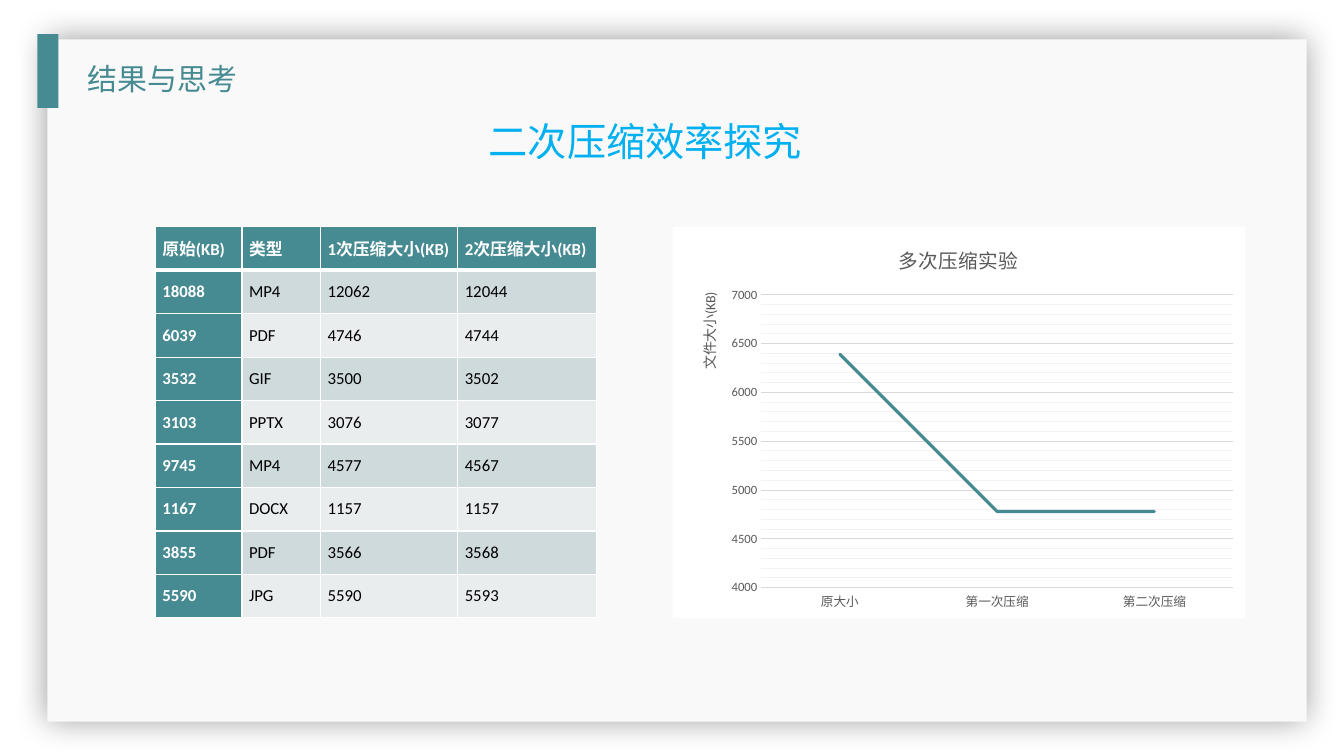
from lxml import etree
from pptx import Presentation
from pptx.chart.data import CategoryChartData
from pptx.dml.color import RGBColor
from pptx.enum.chart import XL_CHART_TYPE, XL_TICK_MARK
from pptx.enum.shapes import MSO_SHAPE
from pptx.enum.text import MSO_ANCHOR, PP_ALIGN
from pptx.oxml import parse_xml
from pptx.oxml.ns import nsdecls, qn
from pptx.util import Inches, Pt

HEX = {"teal": "468A92", "sky": "00B0F0", "panel": "F9F9F9", "white": "FFFFFF",
       "black": "000000", "gray": "595959", "grid": "D9D9D9", "faint": "F2F2F2",
       "dark": "CFDADC", "light": "E9EDEE"}
LATIN, HAN = "Calibri", "Noto Sans CJK SC"
ROWS = [
    ("原始(KB)", "类型", "1次压缩大小(KB)", "2次压缩大小(KB)"),
    ("18088", "MP4", "12062", "12044"),
    ("6039", "PDF", "4746", "4744"),
    ("3532", "GIF", "3500", "3502"),
    ("3103", "PPTX", "3076", "3077"),
    ("9745", "MP4", "4577", "4567"),
    ("1167", "DOCX", "1157", "1157"),
    ("3855", "PDF", "3566", "3568"),
    ("5590", "JPG", "5590", "5593"),
]


def color(name):
    return RGBColor.from_string(HEX[name])


def style(font, size, tint, bold=False, face=LATIN):
    font.size, font.bold, font.name = Pt(size), bold, face
    font.color.rgb = color(tint)


def write(frame, text, size, tint, bold=False, face=LATIN, align=None):
    par = frame.paragraphs[0]
    par.alignment = align
    run = par.add_run()
    run.text = text
    style(run.font, size, tint, bold, face)
    east = etree.SubElement(run.font._element, qn("a:ea"))
    east.set("typeface", HAN)


def label(slide, box, text, **form):
    frame = slide.shapes.add_textbox(*map(Inches, box)).text_frame
    frame.word_wrap = True
    write(frame, text, face=HAN, **form)


def block(slide, box, tint):
    shape = slide.shapes.add_shape(MSO_SHAPE.RECTANGLE, *map(Inches, box))
    shape.fill.solid()
    shape.fill.fore_color.rgb = color(tint)
    shape.line.fill.background()
    shape.shadow.inherit = False
    return shape


def frame(slide, box):
    # Panel with a soft glow-like shadow, and the corner tab
    left, top, _, _ = box
    panel = block(slide, box, "panel")
    effects = panel._element.spPr.find(qn("a:effectLst"))
    effects.append(parse_xml(
        f'<a:outerShdw {nsdecls("a")} blurRad="{Pt(23)}" dist="0" dir="0" '
        f'algn="ctr" rotWithShape="0"><a:srgbClr val="{HEX["black"]}">'
        '<a:alpha val="40000"/></a:srgbClr></a:outerShdw>'))
    block(slide, (left - 0.1, top - 0.05, 0.21, 0.73), "teal")

    # Headings
    label(slide, (left + 0.3, top + 0.16, 2.68, 0.46), "结果与思考",
          size=21.4, tint="teal", align=PP_ALIGN.JUSTIFY)
    label(slide, (left + 4.28, top + 0.72, 4.4, 0.88), "二次压缩效率探究",
          size=28, tint="sky")


def edge(cell, side, width):
    cell._tc.get_or_add_tcPr().append(parse_xml(
        f'<a:{side} {nsdecls("a")} w="{Pt(width)}"><a:solidFill>'
        f'<a:srgbClr val="{HEX["white"]}"/></a:solidFill></a:{side}>'))


def grid(slide, box):
    table = slide.shapes.add_table(len(ROWS), 4, *map(Inches, box)).table
    for col, width in zip(table.columns, (0.86, 0.78, 1.36, 1.38)):
        col.width = Inches(width)
    for r, row in enumerate(ROWS):
        table.rows[r].height = Inches(box[3] / len(ROWS))
        for c, text in enumerate(row):
            cell = table.cell(r, c)
            head = r == 0 or c == 0
            cell.margin_left = cell.margin_right = Inches(0.07)
            cell.margin_top = cell.margin_bottom = 0
            cell.vertical_anchor = MSO_ANCHOR.MIDDLE
            write(cell.text_frame, text, 12, "white" if head else "black",
                  bold=head, align=PP_ALIGN.JUSTIFY)
            for side in ("lnL", "lnR", "lnT", "lnB"):
                thick = (r, side) in ((0, "lnB"), (1, "lnT"))
                edge(cell, side, 3 if thick else 1)
            cell.fill.solid()
            cell.fill.fore_color.rgb = color(
                "teal" if head else "dark" if r % 2 else "light")


def place(node, after, inner=False, **spots):
    # Put a chart part at fractions of the chart's size
    for old in node.findall(qn("c:layout")):
        node.remove(old)
    target = '<c:layoutTarget val="inner"/>' if inner else ""
    modes = "".join(f'<c:{k}Mode val="edge"/>' for k in "xy")
    sizes = "".join(f'<c:{k} val="{v}"/>' for k, v in spots.items())
    node.insert(after, parse_xml(
        f'<c:layout {nsdecls("c")}><c:manualLayout>{target}{modes}{sizes}'
        '</c:manualLayout></c:layout>'))


def plot(slide, box):
    data = CategoryChartData()
    data.categories = ["原大小", "第一次压缩", "第二次压缩"]
    data.add_series("Series 1", (6390, 4780, 4780))
    chart = slide.shapes.add_chart(
        XL_CHART_TYPE.LINE, *map(Inches, box), data).chart
    style(chart.font, 10, "black")
    chart.has_legend = False
    chart.has_title = True
    write(chart.chart_title.text_frame, "多次压缩实验", 14, "gray")
    space = chart._chartSpace
    space.chart.addnext(parse_xml(
        f'<c:spPr {nsdecls("c", "a")}><a:solidFill><a:srgbClr '
        f'val="{HEX["white"]}"/></a:solidFill><a:ln><a:noFill/></a:ln></c:spPr>'))
    place(space.chart.plotArea, 0, True, x=0.155, y=0.174, w=0.824, h=0.749)

    # Axes
    cats, vals = chart.category_axis, chart.value_axis
    for axis in (cats, vals):
        style(axis.tick_labels.font, 9, "gray")
        axis.major_tick_mark = axis.minor_tick_mark = XL_TICK_MARK.NONE
    cats.format.line.color.rgb = color("grid")
    cats.format.line.width = Pt(0.75)
    vals.format.line.fill.background()
    vals.minimum_scale, vals.maximum_scale = 4000, 7000
    vals.major_unit, vals.minor_unit = 500, 100
    vals.has_major_gridlines = vals.has_minor_gridlines = True
    vals.major_gridlines.format.line.color.rgb = color("grid")
    vals.major_gridlines.format.line.width = Pt(0.75)
    vals._element.find(qn("c:minorGridlines")).append(parse_xml(
        f'<c:spPr {nsdecls("c", "a")}><a:ln w="{Pt(0.75)}"><a:solidFill>'
        f'<a:srgbClr val="{HEX["faint"]}"/></a:solidFill></a:ln></c:spPr>'))
    title = vals.axis_title
    write(title.text_frame, "文件大小(KB)", 10, "gray")
    body = title.text_frame._txBody.find(qn("a:bodyPr"))
    body.set("rot", "-5400000")
    body.set("vert", "horz")
    place(title._element, 1, x=0.04, y=0.16)

    # Line
    chart.plots[0].vary_by_categories = False
    trend = chart.plots[0].series[0]
    trend.smooth = False
    trend.format.line.color.rgb = color("teal")
    trend.format.line.width = Pt(2.25)
    trend.format.line._ln.set("cap", "rnd")


def main():
    deck = Presentation()
    deck.slide_width, deck.slide_height = Inches(13.33), Inches(7.5)
    slide = deck.slides.add_slide(deck.slide_layouts[6])
    frame(slide, (0.47, 0.39, 12.49, 6.77))
    grid(slide, (1.54, 2.25, 4.38, 3.88))
    plot(slide, (6.67, 2.25, 5.68, 3.88))
    deck.save("out.pptx")


if __name__ == "__main__":
    main()
